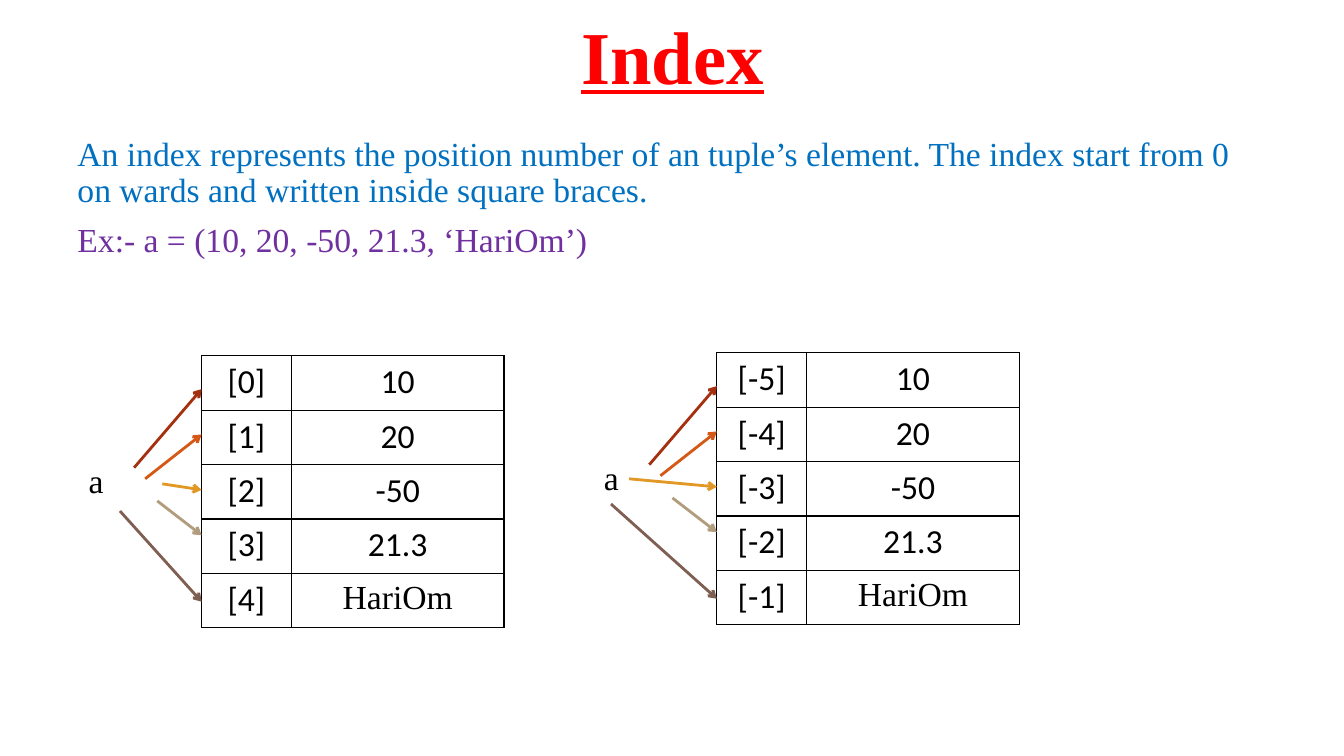
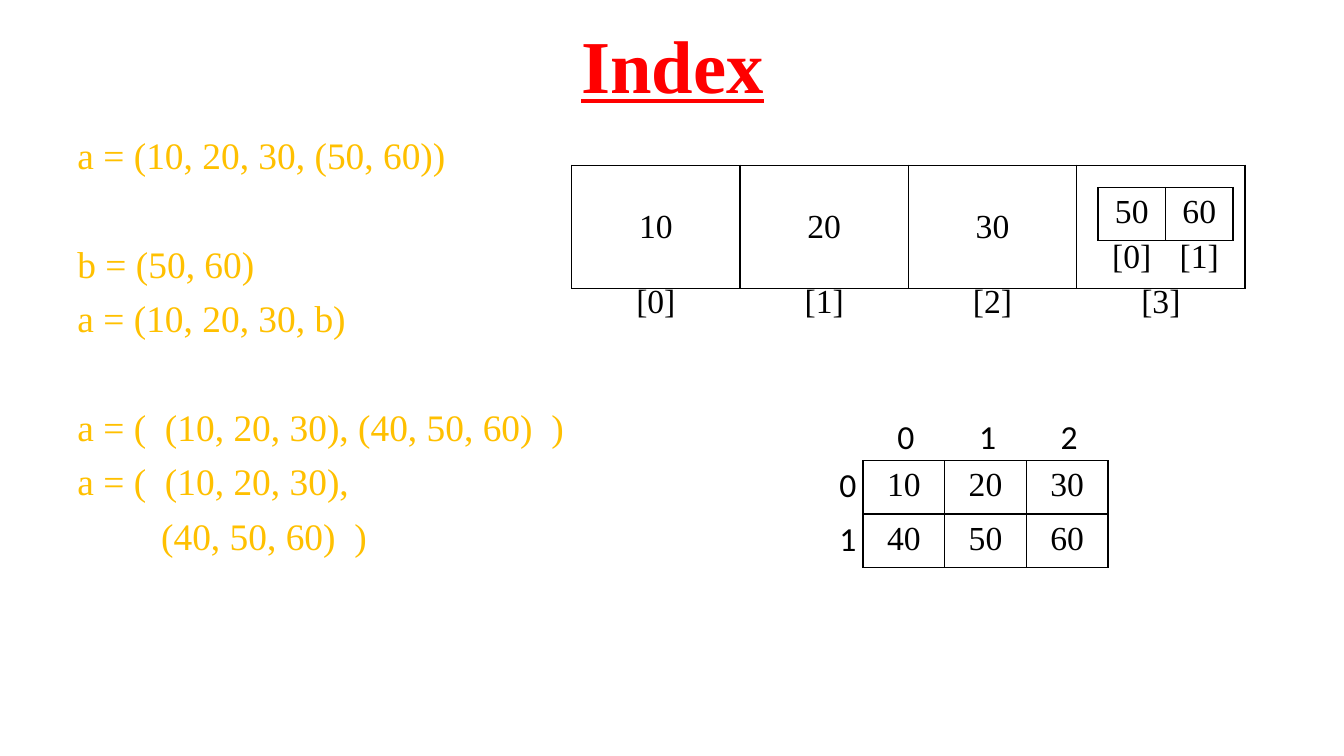
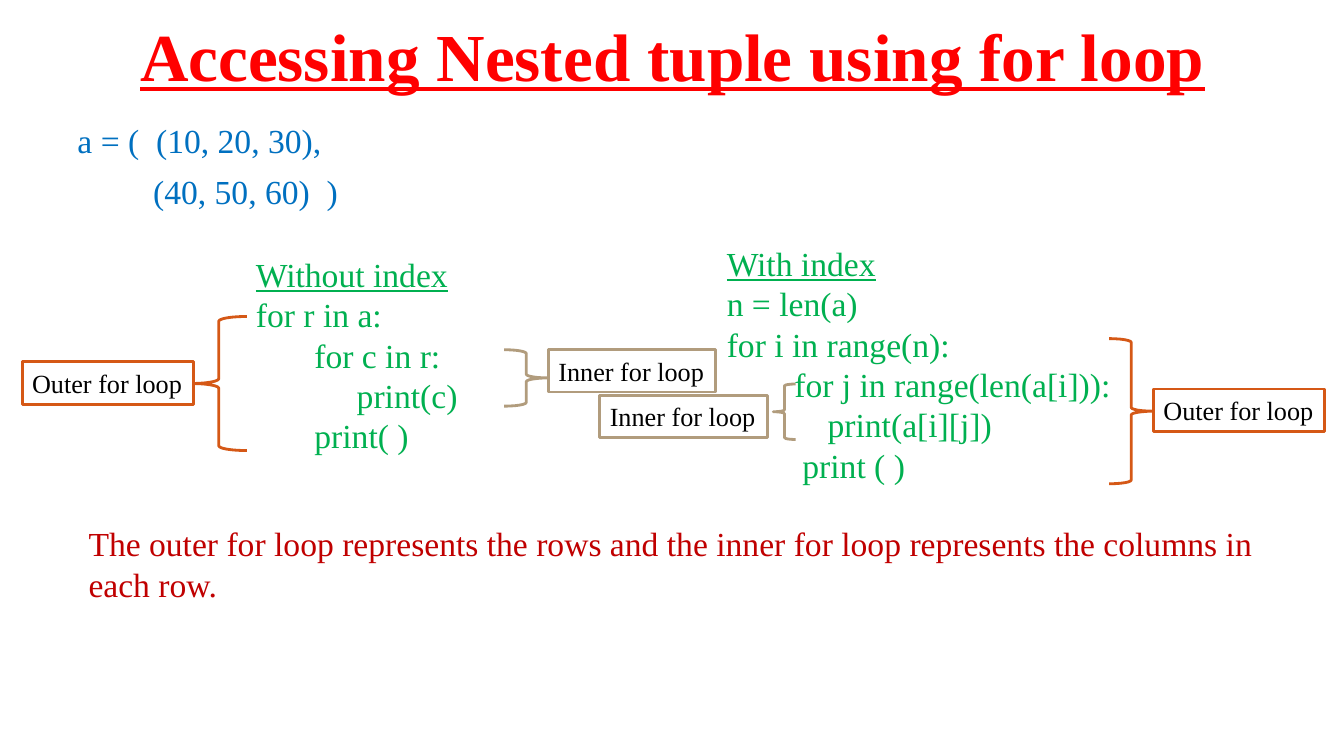
from dataclasses import dataclass

import lxml.etree
import pptx
import pptx.dml.color
import pptx.enum.shapes
import pptx.enum.text
import pptx.oxml
import pptx.oxml.ns
import pptx.util

Inches = pptx.util.Inches
Pt = pptx.util.Pt
Shape = pptx.enum.shapes.MSO_SHAPE
Align = pptx.enum.text.PP_ALIGN
Anchor = pptx.enum.text.MSO_ANCHOR
qn = pptx.oxml.ns.qn


@dataclass(frozen=True)
class Theme:
    """Colours, fonts and type sizes shared by the slides."""
    serif: str = "Times New Roman"
    sans: str = "Calibri"
    ink: str = "000000"
    paper: str = "FFFFFF"
    title: str = "FF0000"
    blue: str = "0070C0"
    purple: str = "7030A0"
    gold: str = "FFC000"
    green: str = "00B050"
    crimson: str = "C00000"
    outer: str = "D55816"
    inner: str = "B19C7D"
    arrows: tuple = ("A5300F", "D55816", "E19825", "B19C7D", "7F5F52")
    title_size: float = 53.3
    long_title_size: float = 48
    code_size: float = 26.7
    text_size: float = 24
    note_size: float = 18.7
    body_spacing: float = 0.9
    body_before: float = 10


THEME = Theme()


@dataclass(frozen=True)
class Line:
    """One paragraph of text with its own indent, spacing and look."""
    text: str
    indent: float = 0
    before: float = 0
    color: str = ""
    underline: bool = False
    bold: bool = False


def rgb(color):
    """Return a colour object for a hex string."""
    return pptx.dml.color.RGBColor.from_string(color)


def write(frame, lines, size, color, font=THEME.serif, align=Align.LEFT, spacing=None):
    """Write the lines into a text frame, one run per paragraph."""
    for number, line in enumerate(lines):
        paragraph = frame.add_paragraph() if number else frame.paragraphs[0]
        paragraph.alignment = align
        paragraph.space_before = Pt(line.before)
        if spacing:
            paragraph.line_spacing = spacing
        if line.indent:
            paragraph._p.get_or_add_pPr().set("marL", str(Inches(line.indent)))
        run = paragraph.add_run()
        run.text = line.text
        run.font.name = font
        run.font.size = Pt(size)
        run.font.bold = line.bold
        run.font.underline = line.underline
        run.font.color.rgb = rgb(line.color or color)


def add_text(slide, box, lines, size, color, wrap=True, anchor=Anchor.TOP, **style):
    """Add a text box holding the lines."""
    frame = slide.shapes.add_textbox(*map(Inches, box)).text_frame
    frame.word_wrap = wrap
    frame.vertical_anchor = anchor
    write(frame, lines, size, color, **style)


def add_title(slide, text, top, size=THEME.title_size):
    """Add the centred, underlined slide title."""
    add_text(slide, (0.67, top, 12, 1.25), [Line(text, underline=True, bold=True)],
             size, THEME.title, anchor=Anchor.MIDDLE, align=Align.CENTER,
             spacing=THEME.body_spacing)


def add_body(slide, box, lines, size, color):
    """Add the body text with its tight line spacing."""
    add_text(slide, box, lines, size, color, spacing=THEME.body_spacing)


def set_borders(cell, color):
    """Give a cell thin borders, or none when there is no colour."""
    properties = cell._tc.get_or_add_tcPr()
    for position, edge in enumerate(("a:lnL", "a:lnR", "a:lnT", "a:lnB")):
        border = lxml.etree.Element(qn(edge), w=str(Pt(1)))
        if color:
            fill = lxml.etree.SubElement(border, qn("a:solidFill"))
            lxml.etree.SubElement(fill, qn("a:srgbClr"), val=color)
        else:
            lxml.etree.SubElement(border, qn("a:noFill"))
        properties.insert(position, border)


def add_grid(slide, left, top, widths, height, rows, font=THEME.serif,
             border=THEME.ink, anchor=Anchor.TOP):
    """Add a plain table of centred values with equal row heights."""
    frame = slide.shapes.add_table(len(rows), len(widths), Inches(left), Inches(top),
                                   Inches(sum(widths)), Inches(height * len(rows)))
    table = frame.table
    table.first_row = False
    table.horz_banding = False
    for column, width in zip(table.columns, widths):
        column.width = Inches(width)
    for row, values in zip(table.rows, rows):
        row.height = Inches(height)
        for cell, value in zip(row.cells, values):
            cell.fill.background()
            set_borders(cell, border)
            cell.margin_left = cell.margin_right = Inches(0.13)
            cell.margin_top = cell.margin_bottom = Inches(0.06)
            cell.vertical_anchor = anchor
            if value:
                face = THEME.serif if value.isalpha() else font
                write(cell.text_frame, [Line(value)], THEME.text_size, THEME.ink,
                      face, Align.CENTER)


def add_arrow(slide, start, end, color):
    """Draw an open-headed arrow between two points."""
    arrow = slide.shapes.add_connector(pptx.enum.shapes.MSO_CONNECTOR.STRAIGHT,
                                       *map(Inches, (*start, *end)))
    arrow.line.color.rgb = rgb(color)
    arrow.line.width = Pt(2)
    lxml.etree.SubElement(arrow.line._get_or_add_ln(), qn("a:tailEnd"), type="arrow")
    lxml.etree.SubElement(arrow._element.spPr, qn("a:effectLst"))


def add_memory(slide, left, top, indexes, middle_start, last_start):
    """Show the tuple name with arrows fanning out to its indexed elements."""
    elements = ("10", "20", "-50", "21.3", "HariOm")
    add_grid(slide, left, top, (0.89, 2.11), 0.54,
             [(f"[{index}]", element) for index, element in zip(indexes, elements)],
             font=THEME.sans)
    add_text(slide, (left - 1.22, top + 0.98, 0.35, 0.5), [Line("a")],
             THEME.text_size, THEME.ink, wrap=False)
    starts = ((-0.67, 1.11), (-0.56, 1.22), middle_start, (-0.44, 1.44), last_start)
    targets = (0.33, 0.78, 1.33, 1.78, 2.44)
    for (x, y), target, color in zip(starts, targets, THEME.arrows):
        add_arrow(slide, (left + x, top + y), (left, top + target), color)


def add_outline(slide, kind, box, color):
    """Add a preset shape with a coloured outline and no shadow."""
    shape = slide.shapes.add_shape(kind, *map(Inches, box))
    shape.shadow.inherit = False
    shape.fill.background()
    shape.line.color.rgb = rgb(color)
    shape.line.width = Pt(2)
    return shape


def add_loop_note(slide, text, note_at, width, brace, brace_box, color):
    """Add a boxed loop label and the brace that ties it to the code."""
    add_outline(slide, brace, brace_box, color)
    note = add_outline(slide, Shape.RECTANGLE, (*note_at, width, 0.42), color)
    note.fill.solid()
    note.fill.fore_color.rgb = rgb(THEME.paper)
    note.text_frame.word_wrap = False
    note.text_frame.vertical_anchor = Anchor.MIDDLE
    write(note.text_frame, [Line(text)], THEME.note_size, THEME.ink)


def build_index_slide(slide):
    """Explain positive and negative indexes."""
    add_title(slide, "Index", -0.03)
    add_body(slide, (0.67, 1.31, 12, 2), [
        Line("An index represents the position number of an tuple’s element. "
             "The index start from 0 on wards and written inside square braces.",
             before=THEME.body_before),
        Line("Ex:- a = (10, 20, -50, 21.3, ‘HariOm’)", before=THEME.body_before,
             color=THEME.purple),
    ], THEME.text_size, THEME.blue)
    add_memory(slide, 2, 3.53, range(5), (-0.39, 1.27), (-0.81, 1.54))
    add_memory(slide, 7.11, 3.5, range(-5, 0), (-0.87, 1.25), (-1.05, 1.5))


def build_nested_index_slide(slide):
    """Show nested tuples as grids with their indexes."""
    near, far = THEME.body_before, 49
    add_title(slide, "Index", 0.06)
    add_body(slide, (0.67, 1.31, 12, 5.56), [
        Line("a = (10, 20, 30, (50, 60))", before=near),
        Line("b = (50, 60)", before=far),
        Line("a = (10, 20, 30, b)", before=near),
        Line("a = (  (10, 20, 30), (40, 50, 60)  )", before=far),
        Line("a = (  (10, 20, 30),", before=near),
        Line("(40, 50, 60)  )", 0.83, near),
    ], THEME.code_size, THEME.gold)

    outer_widths, pair_widths, matrix_widths = (1.67,) * 4, (0.67,) * 2, (0.81,) * 3
    add_grid(slide, 5.67, 1.64, outer_widths, 1.22, [("10", "20", "30", "")],
             anchor=Anchor.MIDDLE)
    add_grid(slide, 10.89, 1.86, pair_widths, 0.53, [("50", "60")])
    add_grid(slide, 5.67, 2.75, outer_widths, 0.56, [("[0]", "[1]", "[2]", "[3]")],
             border=None)
    add_grid(slide, 10.89, 2.31, pair_widths, 0.53, [("[0]", "[1]")], border=None)
    add_grid(slide, 8.56, 4.57, matrix_widths, 0.53,
             [("10", "20", "30"), ("40", "50", "60")])
    add_grid(slide, 7.93, 4.56, (0.96,), 0.54, [("0",), ("1",)],
             font=THEME.sans, border=None)
    add_grid(slide, 8.58, 4.08, matrix_widths, 0.54, [("0", "1", "2")],
             font=THEME.sans, border=None)


def build_loop_slide(slide):
    """Compare nested for loops with and without an index."""
    add_title(slide, "Accessing Nested tuple using for loop", -0.03, THEME.long_title_size)
    add_body(slide, (0.67, 1.19, 9.89, 1.67), [
        Line("a = (  (10, 20, 30),", before=THEME.body_before),
        Line("(40, 50, 60)  )", 0.75, THEME.body_before),
    ], THEME.text_size, THEME.blue)
    add_text(slide, (7.11, 2.36, 4.89, 2.52), [
        Line("With index", underline=True),
        Line("n = len(a)"),
        Line("for i in range(n):"),
        Line("for j in range(len(a[i])):", 0.67),
        Line("print(a[i][j])", 1),
        Line("print ( )", 0.75),
    ], THEME.text_size, THEME.green)
    add_text(slide, (2.44, 2.47, 3.44, 2.12), [
        Line("Without index", underline=True),
        Line("for r in a:"),
        Line("for c in r:", 0.58),
        Line("print(c)", 1),
        Line("print( )", 0.58),
    ], THEME.text_size, THEME.green)

    outer = ("Outer for loop", 1.7, THEME.outer)
    inner = ("Inner for loop", 1.66, THEME.inner)
    notes = (
        (outer, (0.22, 3.59), Shape.LEFT_BRACE, (1.89, 3.14, 0.56, 1.33)),
        (outer, (11.44, 3.86), Shape.RIGHT_BRACE, (11, 3.36, 0.44, 1.44)),
        (inner, (5.44, 3.47), Shape.RIGHT_BRACE, (5, 3.47, 0.44, 0.56)),
        (inner, (5.95, 3.92), Shape.LEFT_BRACE, (7.67, 3.81, 0.22, 0.55)),
    )
    for (text, width, color), note_at, brace, brace_box in notes:
        add_loop_note(slide, text, note_at, width, brace, brace_box, color)
    add_text(slide, (0.78, 5.14, 12.13, 0.91), [
        Line("The outer for loop represents the rows and the inner for loop "
             "represents the columns in each row."),
    ], THEME.text_size, THEME.crimson)


def main():
    """Build the presentation and save it."""
    deck = pptx.Presentation()
    deck.slide_width = Inches(13.33)
    deck.slide_height = Inches(7.5)
    for build in (build_index_slide, build_nested_index_slide, build_loop_slide):
        build(deck.slides.add_slide(deck.slide_layouts[6]))
    deck.save("out.pptx")


if __name__ == "__main__":
    main()
